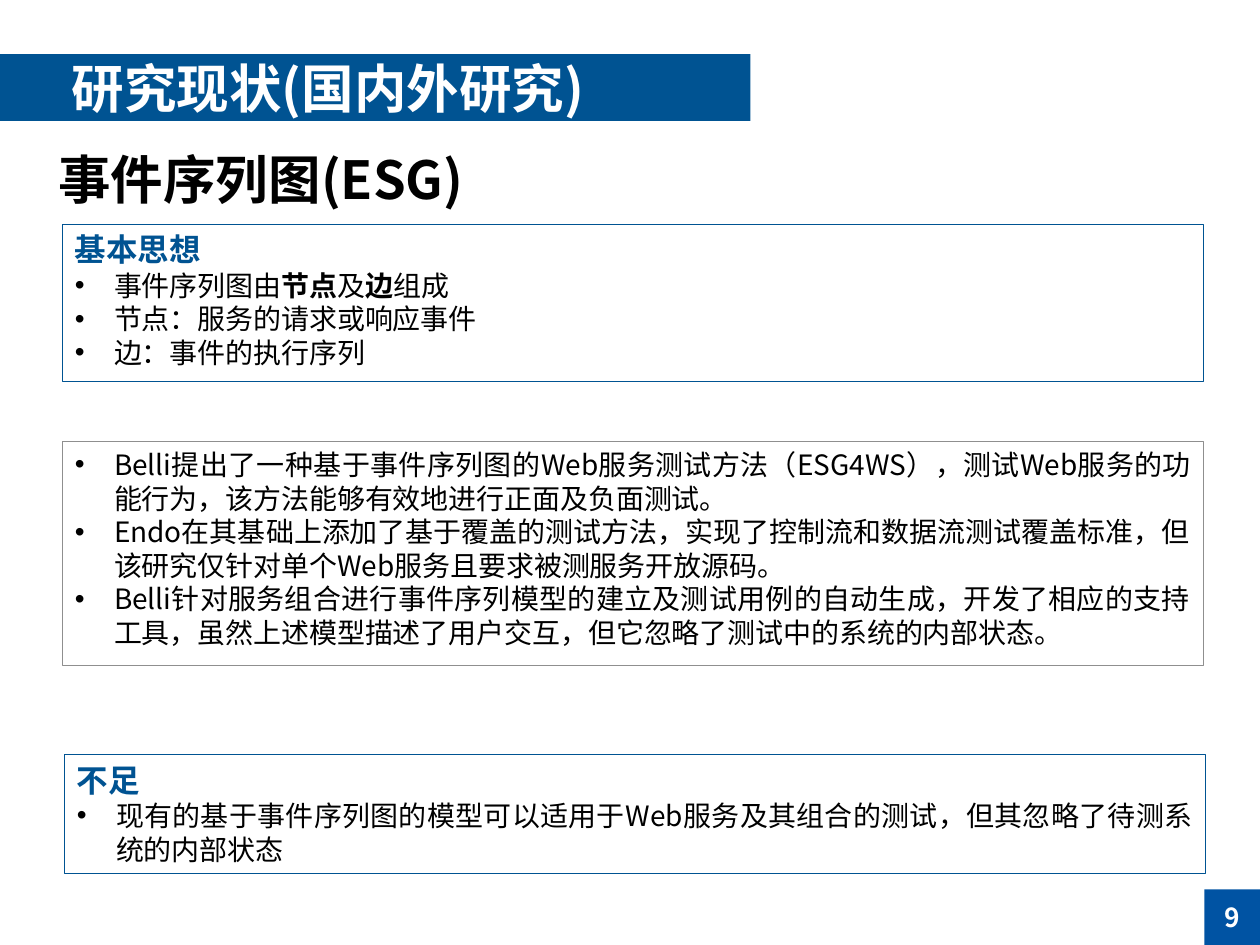
from lxml import etree
from pptx import Presentation
from pptx import util as u
from pptx.dml.color import RGBColor
from pptx.enum import shapes, text
from pptx.oxml.ns import qn

SANS = "Noto Sans CJK SC"
HEAD = "Noto Sans CJK JP"
BLUE = "005392"
TIGHT = dict(margin_left=u.Cm(0.18), margin_right=u.Cm(0.18),
             margin_top=u.Cm(0.1), margin_bottom=u.Cm(0.1))
MID = dict(vertical_anchor=text.MSO_ANCHOR.MIDDLE, word_wrap=True)
GROW = dict(vertical_anchor=text.MSO_ANCHOR.TOP, word_wrap=True,
            auto_size=text.MSO_AUTO_SIZE.SHAPE_TO_FIT_TEXT)


def hue(code):
    return RGBColor.from_string(code)


def apply(obj, vals):
    for key, val in vals.items():
        setattr(obj, key, val)


class Deck:
    def __init__(self, slide):
        self.slide = slide

    def rect(self, at, fill=None, line=None):
        box = self.slide.shapes.add_shape(
            shapes.MSO_SHAPE.RECTANGLE, *map(u.Cm, at))
        box.shadow.inherit = False
        if fill:
            box.fill.solid()
            box.fill.fore_color.rgb = hue(fill)
        else:
            box.fill.background()
        if line:
            box.line.color.rgb = hue(line)
            box.line.width = u.Pt(0.75)
        else:
            box.line.fill.background()
        return box

    def run(self, para, words, size, color, bold, font=SANS):
        run = para.add_run()
        run.text = words
        apply(run.font, dict(name=font, size=u.Pt(size), bold=bold))
        run.font.color.rgb = hue(color)
        props = run._r.get_or_add_rPr()
        etree.SubElement(props, qn("a:ea"), typeface=font)

    def label(self, box, words, size, color, font, align, frame):
        apply(box.text_frame, frame)
        para = box.text_frame.paragraphs[0]
        para.alignment = align
        self.run(para, words, size, color, True, font)

    def title(self, at, words, color):
        box = self.slide.shapes.add_textbox(*map(u.Cm, at))
        self.label(box, words, 30, color, HEAD,
                   text.PP_ALIGN.LEFT, MID | TIGHT)

    def bar(self, at, words, fill, size, font, align, frame):
        box = self.rect(at, fill=fill)
        self.label(box, words, size, "FFFFFF", font, align, frame)

    def bullet(self, para):
        props = para._p.get_or_add_pPr()
        apply_ind = dict(marL=u.Cm(0.79), indent=-u.Cm(0.79))
        for key, val in apply_ind.items():
            props.set(key, str(val))
        etree.SubElement(props, qn("a:buFont"), typeface="Arial")
        etree.SubElement(props, qn("a:buChar"), char="•")

    def panel(self, at, line, items, head=None):
        frame = self.rect(at, line=line).text_frame
        apply(frame, GROW)
        rows = [head] * bool(head) + items
        for num, row in enumerate(rows):
            para = frame.add_paragraph() if num else frame.paragraphs[0]
            para.alignment = text.PP_ALIGN.JUSTIFY
            if row == head:
                self.run(para, row, 18, BLUE, True)
                continue
            self.bullet(para)
            for part, words in enumerate(row.split("*")):
                self.run(para, words, 16, "000000", part % 2 == 1)


def main():
    prs = Presentation()
    apply(prs, dict(slide_width=u.Cm(25.4), slide_height=u.Cm(19.05)))
    deck = Deck(prs.slides.add_slide(prs.slide_layouts[6]))

    deck.bar((0, 1.09, 15.13, 1.35), "\t研究现状(国内外研究)", BLUE,
             30, HEAD, text.PP_ALIGN.LEFT, MID | TIGHT)
    deck.bar((24.28, 17.93, 1.12, 1.12), "9", "0053A3",
             15, SANS, text.PP_ALIGN.CENTER, MID)
    deck.title((1, 2.92, 11.55, 1.35), "事件序列图(ESG)", "000000")

    deck.panel((1.26, 4.52, 23, 3.17), BLUE, [
        "事件序列图由*节点*及*边*组成",
        "节点：服务的请求或响应事件",
        "边：事件的执行序列",
    ], "基本思想")
    deck.panel((1.26, 8.9, 23, 4.52), "8F8F8F", [
        "Belli提出了一种基于事件序列图的Web服务测试方法（ESG4WS），"
        "测试Web服务的功能行为，该方法能够有效地进行正面及负面测试。",
        "Endo在其基础上添加了基于覆盖的测试方法，实现了控制流和数据流"
        "测试覆盖标准，但该研究仅针对单个Web服务且要求被测服务开放源码。",
        "Belli针对服务组合进行事件序列模型的建立及测试用例的自动生成，"
        "开发了相应的支持工具，虽然上述模型描述了用户交互，"
        "但它忽略了测试中的系统的内部状态。",
    ])
    deck.panel((1.3, 15.21, 23, 2.4), BLUE, [
        "现有的基于事件序列图的模型可以适用于Web服务及其组合的测试，"
        "但其忽略了待测系统的内部状态",
    ], "不足")

    prs.save("out.pptx")


if __name__ == "__main__":
    main()
